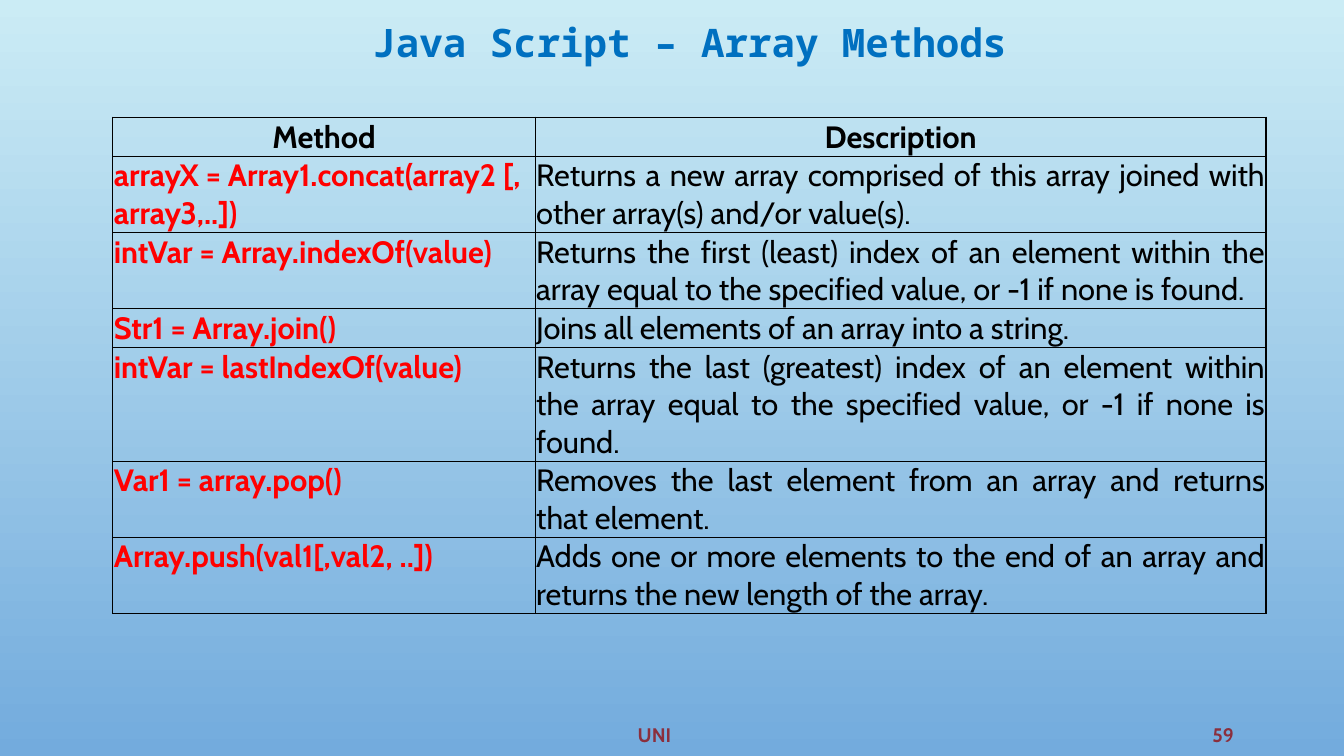
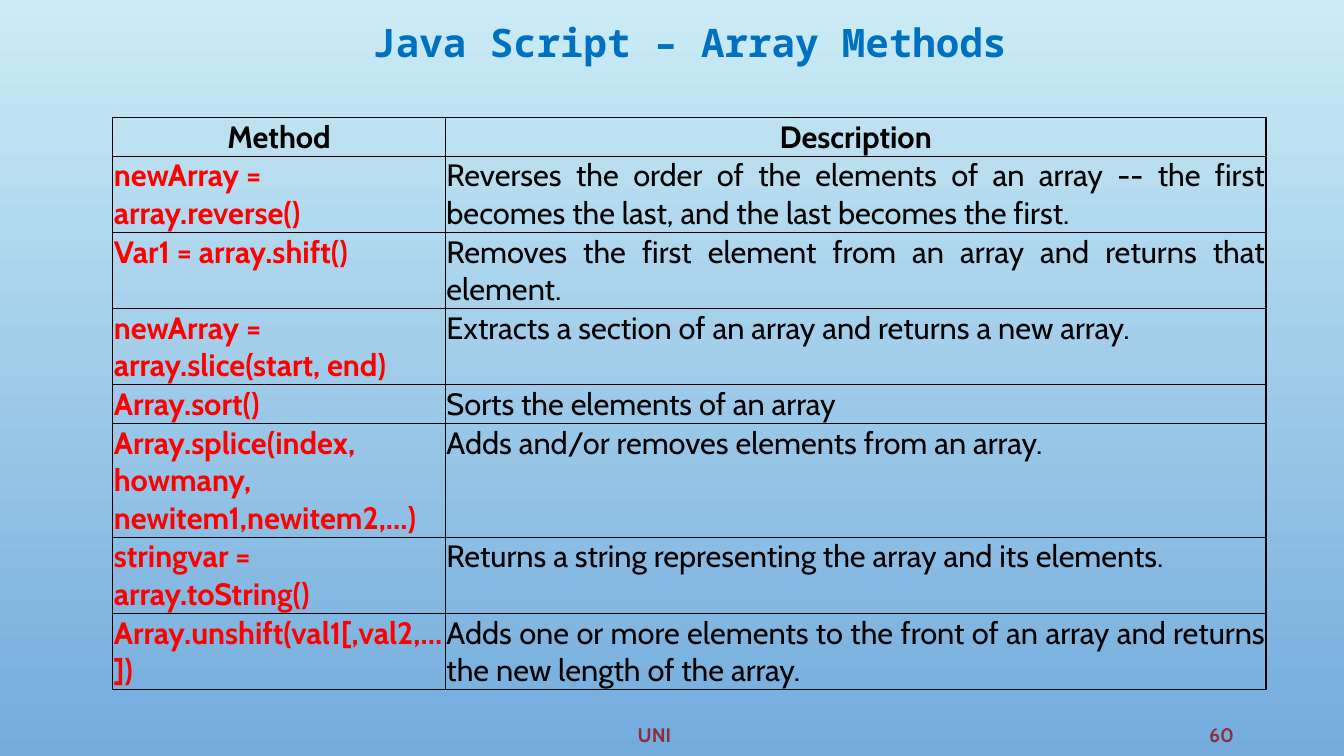
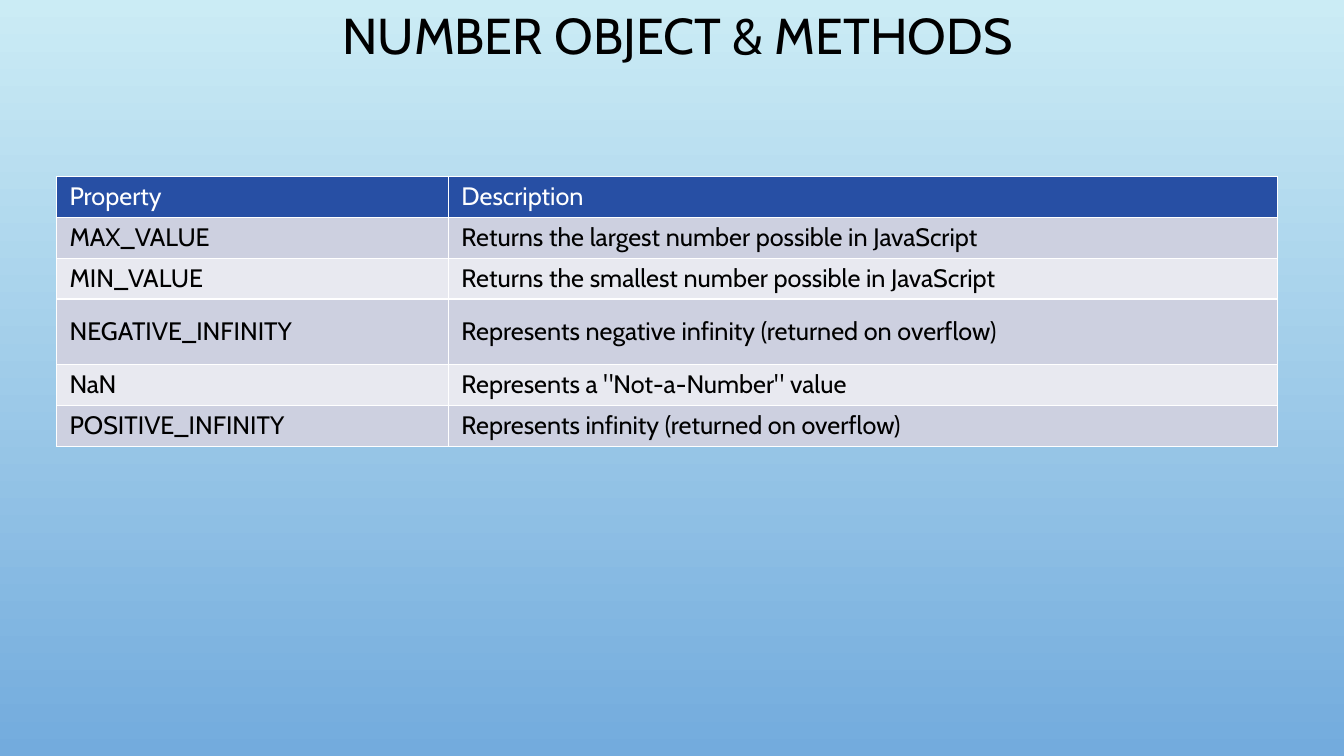
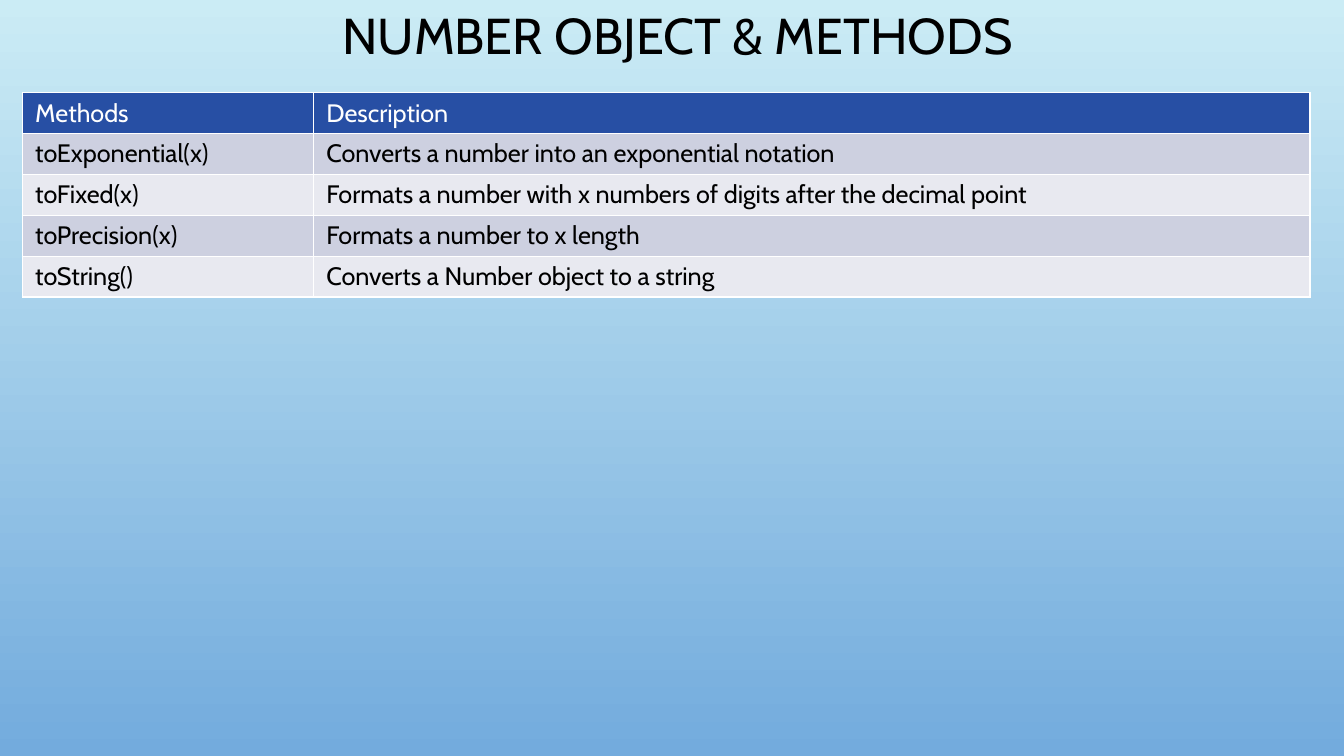
from pptx import Presentation
from pptx.dml.color import RGBColor
from pptx.enum.text import MSO_ANCHOR as Anchor, PP_ALIGN as Align
from pptx.oxml import parse_xml
from pptx.oxml.ns import nsdecls
from pptx.util import Pt

SKY_TOP = RGBColor(0xCB, 0xEC, 0xF5)
SKY_BOTTOM = RGBColor(0x73, 0xAB, 0xDD)
TITLE_BLUE = RGBColor(0x00, 0x70, 0xC0)
FOOTER_RED = RGBColor(0x8B, 0x2F, 0x3D)
CODE_RED = RGBColor(0xFF, 0x00, 0x00)
BLACK = RGBColor(0x00, 0x00, 0x00)
WHITE = RGBColor(0xFF, 0xFF, 0xFF)
HEADER_BLUE = RGBColor(0x27, 0x4F, 0xA4)
BAND_DARK = RGBColor(0xCD, 0xD0, 0xE0)
BAND_LIGHT = RGBColor(0xE8, 0xE9, 0xF0)

CABIN = "Cabin"
ARRAY_TITLE = dict(name="Noto Sans Mono", size=Pt(28), bold=True)
NUMBER_TITLE = dict(name=CABIN, size=Pt(36), bold=False)
FOOTER = dict(name=CABIN, size=Pt(14), bold=True)
ARRAY_BOLD = dict(name=CABIN, size=Pt(22), bold=True)
ARRAY_PLAIN = dict(ARRAY_BOLD, bold=False)
NUMBER_CELL = dict(name=CABIN, size=Pt(18), bold=False)

ARRAY_LINE = 26.7
NUMBER_ROW = 29.2

# Each row: method, description, number of text lines
ARRAY_SLIDES = [
    ("59", (301.7, 522), [
        ("Method", "Description", 1),
        ("arrayX = Array1.concat(array2 [, array3,..])",
         "Returns a new array comprised of this array joined with other "
         "array(s) and/or value(s).", 2),
        ("intVar = Array.indexOf(value)",
         "Returns the first (least) index of an element within the array "
         "equal to the specified value, or -1 if none is found.", 2),
        ("Str1 = Array.join()",
         "Joins all elements of an array into a string.", 1),
        ("intVar = lastIndexOf(value)",
         "Returns the last (greatest) index of an element within the array "
         "equal to the specified value, or -1 if none is found.", 3),
        ("Var1 = array.pop()",
         "Removes the last element from an array and returns that element.", 2),
        ("Array.push(val1[,val2, ..])",
         "Adds one or more elements to the end of an array and returns the "
         "new length of the array.", 2),
    ]),
    ("60", (237.6, 586.1), [
        ("Method", "Description", 1),
        ("newArray = array.reverse()",
         "Reverses the order of the elements of an array -- the first becomes "
         "the last, and the last becomes the first.", 2),
        ("Var1 = array.shift()",
         "Removes the first element from an array and returns that element.", 2),
        ("newArray = array.slice(start, end)",
         "Extracts a section of an array and returns a new array.", 2),
        ("Array.sort()", "Sorts the elements of an array", 1),
        ("Array.splice(index, howmany, newitem1,newitem2,…)",
         "Adds and/or removes elements from an array.", 3),
        ("stringvar = array.toString()",
         "Returns a string representing the array and its elements.", 2),
        ("Array.unshift(val1[,val2,…])",
         "Adds one or more elements to the front of an array and returns the "
         "new length of the array.", 2),
    ]),
]

# Each row: name, description, row height
NUMBER_SLIDES = [
    ((40.3, 126), (280, 592), [
        ("Property", "Description", NUMBER_ROW),
        ("MAX_VALUE", "Returns the largest number possible in JavaScript",
         NUMBER_ROW),
        ("MIN_VALUE", "Returns the smallest number possible in JavaScript",
         NUMBER_ROW),
        ("NEGATIVE_INFINITY",
         "Represents negative infinity (returned on overflow)", 46.8),
        ("NaN", 'Represents a "Not-a-Number" value', NUMBER_ROW),
        ("POSITIVE_INFINITY", "Represents infinity (returned on overflow)",
         NUMBER_ROW),
    ]),
    ((15.8, 66.2), (208, 712), [
        ("Methods", "Description", NUMBER_ROW),
        ("toExponential(x)", "Converts a number into an exponential notation",
         NUMBER_ROW),
        ("toFixed(x)",
         "Formats a number with x numbers of digits after the decimal point",
         NUMBER_ROW),
        ("toPrecision(x)", "Formats a number to x length", NUMBER_ROW),
        ("toString()", "Converts a Number object to a string", NUMBER_ROW),
    ]),
]


def write(frame, text, style, color, align=Align.LEFT):
    paragraph = frame.paragraphs[0]
    paragraph.alignment = align
    run = paragraph.add_run()
    run.text = text
    for key, value in style.items():
        setattr(run.font, key, value)
    run.font.color.rgb = color
    return paragraph


def add_label(slide, box, text, style, color, align=Align.CENTER,
              anchor=Anchor.MIDDLE):
    frame = slide.shapes.add_textbox(*map(Pt, box)).text_frame
    frame.word_wrap = True
    frame.vertical_anchor = anchor
    return write(frame, text, style, color, align)


def set_cell_borders(cell, color):
    properties = cell._tc.get_or_add_tcPr()
    for index, side in enumerate("LRTB"):
        properties.insert(index, parse_xml(
            f'<a:ln{side} {nsdecls("a")} w="12700"><a:solidFill>'
            f'<a:srgbClr val="{color}"/></a:solidFill></a:ln{side}>'))


def add_grid(slide, origin, widths, heights, margins, border):
    """Add an unstyled two-column table and return its rows of cells."""
    box = (*origin, sum(widths), sum(heights))
    table = slide.shapes.add_table(
        len(heights), len(widths), *map(Pt, box)).table
    table.first_row = table.horz_banding = False
    for column, width in zip(table.columns, widths):
        column.width = Pt(width)
    for row, height in zip(table.rows, heights):
        row.height = Pt(height)
    side, end = map(Pt, margins)
    for cell in table.iter_cells():
        cell.margin_left = cell.margin_right = side
        cell.margin_top = cell.margin_bottom = end
        cell.fill.background()
        set_cell_borders(cell, border)
    return [list(row.cells) for row in table.rows]


def add_array_table(slide, origin, widths, rows):
    heights = [ARRAY_LINE * lines + 1 for *_, lines in rows]
    grid = add_grid(slide, origin, widths, heights, (0.72, 0.72), BLACK)
    for index, (cells, (method, description, _)) in enumerate(zip(grid, rows)):
        if index == 0:
            formats = [(ARRAY_BOLD, BLACK, Align.CENTER)] * 2
        else:
            formats = [(ARRAY_BOLD, CODE_RED, Align.LEFT),
                       (ARRAY_PLAIN, BLACK, Align.JUSTIFY)]
        for cell, text, look in zip(cells, (method, description), formats):
            write(cell.text_frame, text, *look)


def add_number_table(slide, origin, widths, rows):
    heights = [height for *_, height in rows]
    grid = add_grid(slide, origin, widths, heights, (9.36, 3.6), WHITE)
    for index, (cells, texts) in enumerate(zip(grid, rows)):
        band = BAND_DARK if index % 2 else BAND_LIGHT
        fill, color = (band, BLACK) if index else (HEADER_BLUE, WHITE)
        for cell, text in zip(cells, texts):
            cell.fill.solid()
            cell.fill.fore_color.rgb = fill
            if index:
                cell.vertical_anchor = Anchor.MIDDLE
            write(cell.text_frame, text, NUMBER_CELL, color)


def array_slide(slide, page, widths, rows):
    add_label(slide, (122, 9.4, 741, 41), "Java Script – Array Methods",
              ARRAY_TITLE, TITLE_BLUE, anchor=Anchor.TOP)
    add_label(slide, (72, 510, 791, 29), "UNI", FOOTER, FOOTER_RED)
    add_label(slide, (828, 510, 60.5, 29), page, FOOTER, FOOTER_RED,
              Align.RIGHT)
    add_array_table(slide, (80.6, 83.8), widths, rows)


def number_slide(slide, origin, widths, rows):
    title = add_label(slide, (52, 0, 864, 54), "NUMBER OBJECT & METHODS",
                      NUMBER_TITLE, BLACK)
    title.line_spacing = 0.9
    add_number_table(slide, origin, widths, rows)


def paint_background(master):
    fill = master.background.fill
    fill.gradient()
    fill.gradient_angle = 270
    for stop, color in zip(fill.gradient_stops, (SKY_TOP, SKY_BOTTOM)):
        stop.color.rgb = color


def main():
    deck = Presentation()
    deck.slide_width, deck.slide_height = Pt(960), Pt(540)
    paint_background(deck.slide_master)
    blank = deck.slide_layouts[6]
    for build, contents in ((array_slide, ARRAY_SLIDES),
                            (number_slide, NUMBER_SLIDES)):
        for content in contents:
            build(deck.slides.add_slide(blank), *content)
    deck.save("out.pptx")


if __name__ == "__main__":
    main()
